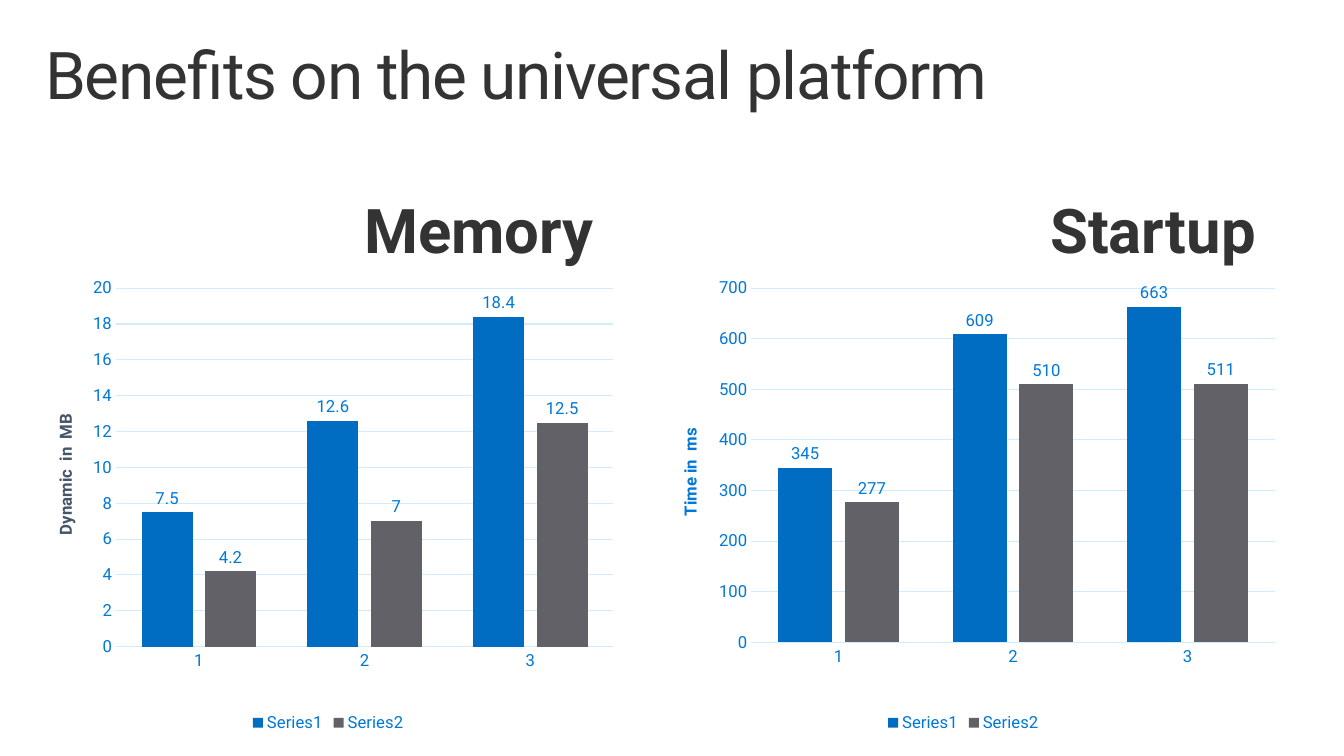
"""Build a slide comparing memory use and startup time in two column charts."""
import lxml.etree
import pptx
import pptx.chart.data
import pptx.dml.color
import pptx.enum.chart
import pptx.enum.text
import pptx.oxml
import pptx.oxml.ns
import pptx.util

Inches = pptx.util.Inches
Pt = pptx.util.Pt

FONT = "Roboto"
DARK, BLUE, GRID = "333333", "0078D7", "D3EBFF"
TITLE = "Benefits on the universal platform"
CATEGORIES = ["1", "2", "3"]
SERIES_COLORS = {"Series1": "006DC3", "Series2": "636168"}
CHART_TOP, CHART_HEIGHT = 2.63, 4.68
HEADING_TOP, HEADING_WIDTH, HEADING_HEIGHT = 1.83, 3.81, 0.99
PANELS = [
    {
        "heading": "Startup", "heading_left": 8.85,
        "left": 6.29, "width": 6.53,
        "axis_title": "Time in  ms", "axis_title_color": BLUE,
        "maximum": 700, "step": 100,
        "plot_area": (0.178, 0.049, 0.795, 0.751),
        "values": [(345, 609, 663), (277, 510, 511)],
    },
    {
        "heading": "Memory", "heading_left": 2.28,
        "left": 0.29, "width": 5.93,
        "axis_title": "Dynamic  in  MB", "axis_title_color": "44546A",
        "maximum": 20, "step": 2,
        "plot_area": (0.145, 0.049, 0.832, 0.76),
        "values": [(7.5, 12.6, 18.4), (4.2, 7, 12.5)],
    },
]


def rgb(color):
    return pptx.dml.color.RGBColor.from_string(color)


def format_font(font, size=11.9, color=BLUE, bold=False):
    font.name = FONT
    font.size = Pt(size)
    font.bold = bold
    font.color.rgb = rgb(color)


def write_text(frame, text, align=None, line_spacing=None, space_after=None,
               tracking=None, **font_format):
    paragraph = frame.paragraphs[0]
    paragraph.alignment = align
    paragraph.line_spacing = line_spacing
    paragraph.space_after = space_after
    run = paragraph.add_run()
    run.text = text
    format_font(run.font, **font_format)
    if tracking is not None:
        run.font._element.set("spc", str(tracking))


def set_margins(frame, horizontal, vertical):
    frame.margin_left = frame.margin_right = Inches(horizontal)
    frame.margin_top = frame.margin_bottom = Inches(vertical)


def place_plot_area(chart, fractions):
    qn = pptx.oxml.ns.qn
    plot_area = chart._chartSpace.find(".//" + qn("c:plotArea"))
    for layout in plot_area.findall(qn("c:layout")):
        plot_area.remove(layout)
    layout = lxml.etree.Element(qn("c:layout"))
    manual = lxml.etree.SubElement(layout, qn("c:manualLayout"))
    settings = [("layoutTarget", "inner"), ("xMode", "edge"), ("yMode", "edge")]
    settings += zip("xywh", fractions)
    for tag, value in settings:
        lxml.etree.SubElement(manual, qn("c:" + tag)).set("val", str(value))
    plot_area.insert(0, layout)


def format_line(line):
    line.color.rgb = rgb(GRID)
    line.width = Pt(0.75)


def add_column_chart(slide, panel):
    data = pptx.chart.data.CategoryChartData()
    data.categories = CATEGORIES
    for name, values in zip(SERIES_COLORS, panel["values"]):
        data.add_series(name, values)
    chart = slide.shapes.add_chart(
        pptx.enum.chart.XL_CHART_TYPE.COLUMN_CLUSTERED,
        Inches(panel["left"]), Inches(CHART_TOP),
        Inches(panel["width"]), Inches(CHART_HEIGHT), data).chart
    format_font(chart.font, size=10, color=DARK)
    chart.has_title = False
    chart.has_legend = True
    chart.legend.position = pptx.enum.chart.XL_LEGEND_POSITION.BOTTOM
    chart.legend.include_in_layout = False
    format_font(chart.legend.font)

    plot = chart.plots[0]
    plot.gap_width = 100
    plot.overlap = -24
    plot.vary_by_categories = False
    for series in plot.series:
        series.format.fill.solid()
        series.format.fill.fore_color.rgb = rgb(SERIES_COLORS[series.name])
        labels = series.data_labels
        labels.show_value = True
        labels.position = pptx.enum.chart.XL_LABEL_POSITION.OUTSIDE_END
        format_font(labels.font)

    for axis in (chart.category_axis, chart.value_axis):
        axis.major_tick_mark = pptx.enum.chart.XL_TICK_MARK.NONE
        axis.minor_tick_mark = pptx.enum.chart.XL_TICK_MARK.NONE
        format_font(axis.tick_labels.font)
    format_line(chart.category_axis.format.line)
    value_axis = chart.value_axis
    value_axis.format.line.fill.background()
    value_axis.minimum_scale = 0
    value_axis.maximum_scale = panel["maximum"]
    value_axis.major_unit = panel["step"]
    value_axis.has_major_gridlines = True
    format_line(value_axis.major_gridlines.format.line)
    write_text(value_axis.axis_title.text_frame, panel["axis_title"],
               size=12, color=panel["axis_title_color"], bold=True)
    place_plot_area(chart, panel["plot_area"])


def add_heading(slide, panel):
    box = slide.shapes.add_textbox(
        Inches(panel["heading_left"]), Inches(HEADING_TOP),
        Inches(HEADING_WIDTH), Inches(HEADING_HEIGHT))
    frame = box.text_frame
    frame.word_wrap = True
    frame.auto_size = pptx.enum.text.MSO_AUTO_SIZE.SHAPE_TO_FIT_TEXT
    set_margins(frame, 0.2, 0.16)
    write_text(frame, panel["heading"], align=pptx.enum.text.PP_ALIGN.RIGHT,
               line_spacing=0.9, space_after=Pt(6), size=44, color=DARK, bold=True)


def add_title(slide):
    title = slide.shapes.title
    title.left, title.top = Inches(0.29), Inches(0.32)
    title.width, title.height = Inches(12.75), Inches(0.98)
    frame = title.text_frame
    frame.word_wrap = True
    frame.auto_size = pptx.enum.text.MSO_AUTO_SIZE.NONE
    frame.vertical_anchor = pptx.enum.text.MSO_ANCHOR.TOP
    set_margins(frame, 0.16, 0.1)
    write_text(frame, TITLE, align=pptx.enum.text.PP_ALIGN.LEFT,
               line_spacing=0.9, tracking=-100, size=47, color=DARK)


def main():
    presentation = pptx.Presentation()
    presentation.slide_width = Inches(13.33)
    presentation.slide_height = Inches(7.5)
    slide = presentation.slides.add_slide(presentation.slide_layouts[5])
    add_title(slide)
    for panel in PANELS:
        add_column_chart(slide, panel)
    for panel in PANELS:
        add_heading(slide, panel)
    presentation.save("out.pptx")


if __name__ == "__main__":
    main()
